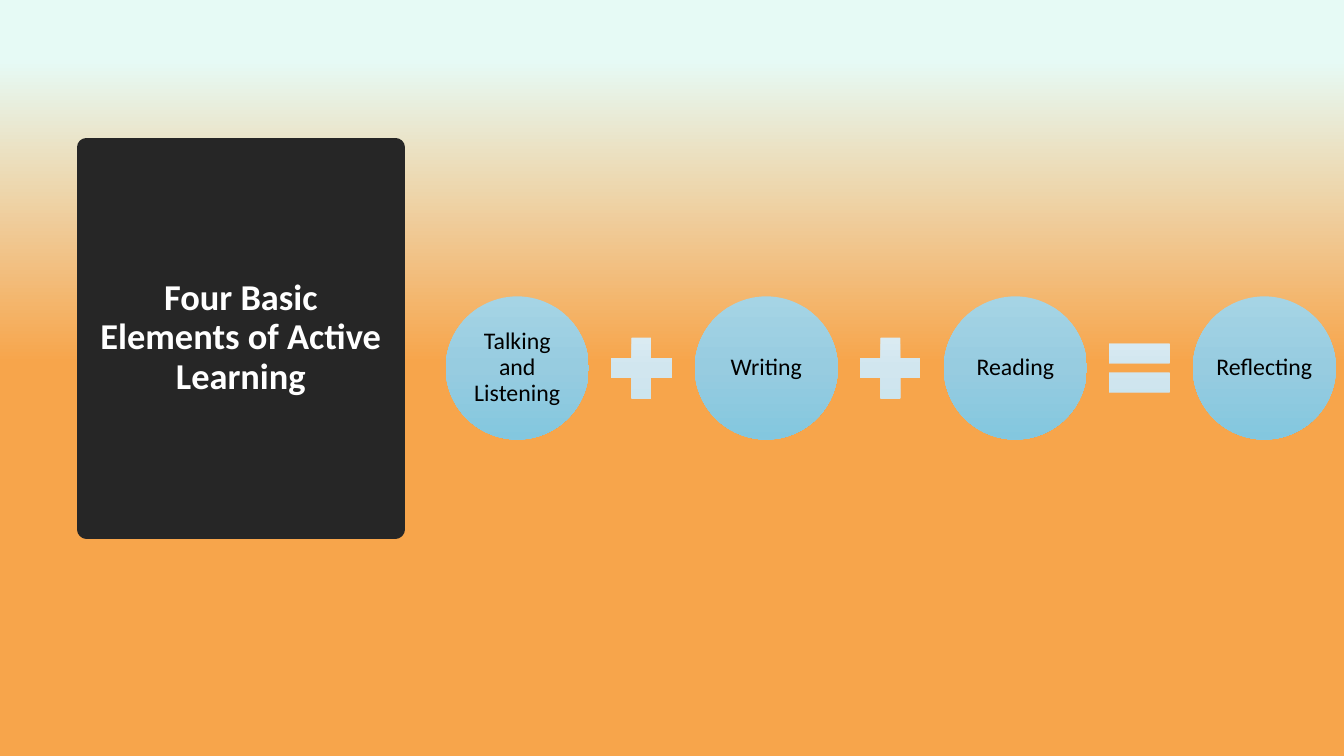
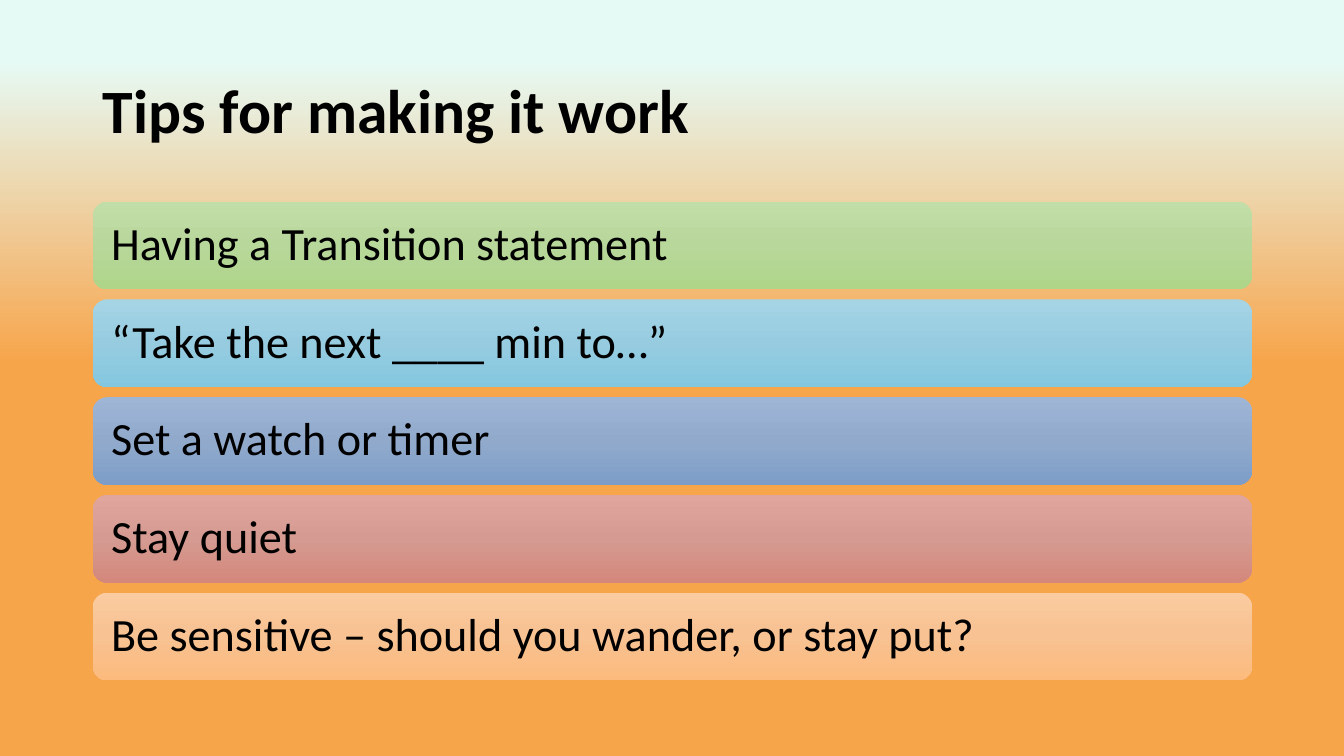
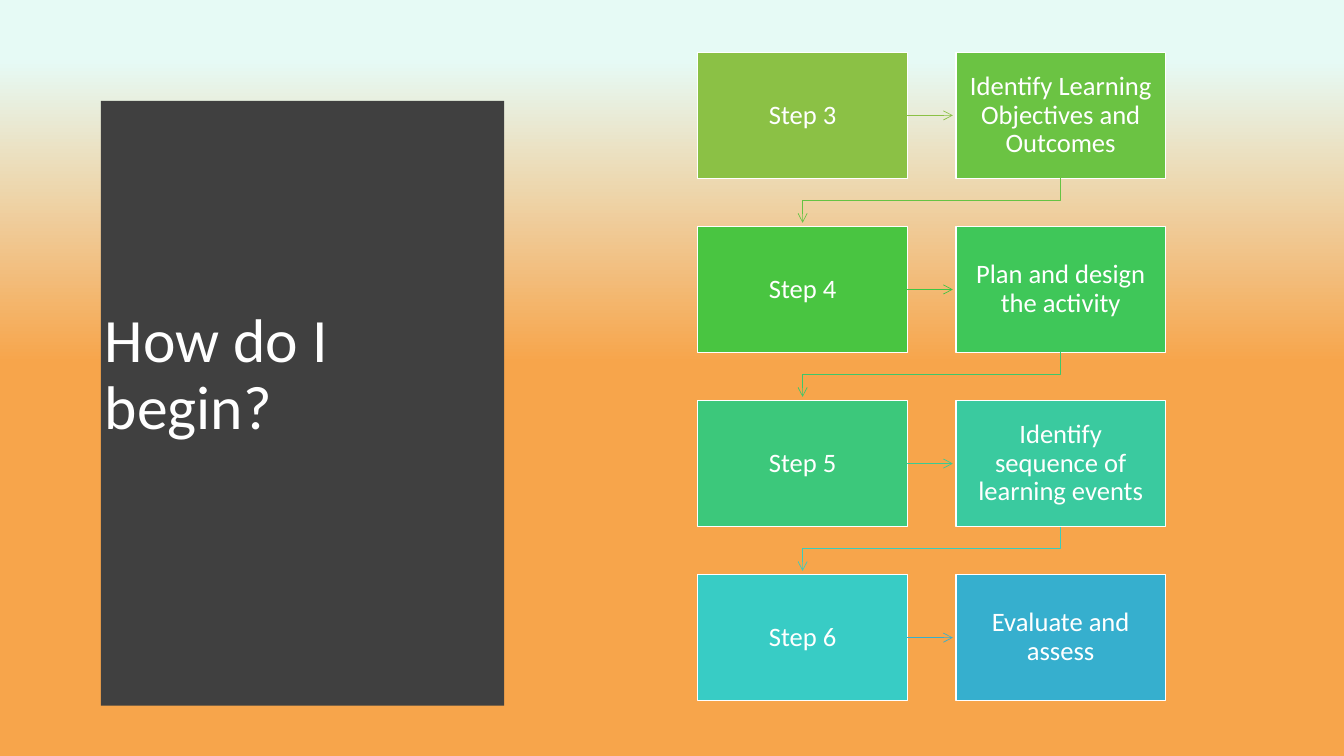
"""Build three slides on active learning."""
from lxml import etree
from pptx import Presentation
from pptx.dml.color import RGBColor
from pptx.enum import shapes, text
from pptx.oxml.ns import qn
from pptx.util import Inches, Pt

hue = RGBColor.from_string
BLACK, WHITE = hue("000000"), hue("FFFFFF")
COAL, SLATE = hue("262626"), hue("404040")
MINT, AMBER = hue("E6FAF5"), hue("F7A54B")
GREEN = [hue("C2DEA8"), hue("B8D79B"), hue("AED588")]
SKY = [hue("A5D4E5"), hue("97CCE0"), hue("83C7DF")]
BLUE = [hue("9EB5D6"), hue("91AACC"), hue("7D9DC8")]
ROSE = [hue("E0A69E"), hue("D59A91"), hue("D4887C")]
PEACH = [hue("FACBA0"), hue("F8C292"), hue("FCBA7D")]
PALE = [hue("DEEDF4"), hue("D1E6EF"), hue("CAE4EE")]
STEPS = [hue("8BC145"), hue("49C541"), hue("3CC87B"), hue("38CCC5")]
TASKS = [hue("6BC343"), hue("3FC759"), hue("3ACA9F"), hue("36AFCE")]
ACROSS = [hue("8BC145"), hue("40C543"), hue("3BCA93"), hue("36AFCE")]
DOWN = [hue("65C343"), hue("3EC76A"), hue("39CCBE")]
FONT = "Calibri"
KIND = shapes.MSO_SHAPE
LINK = shapes.MSO_CONNECTOR
ALIGN = text.PP_ALIGN


def shade(fill, root, tones, marks=(0, 50, 100)):
    """Fill from top to bottom with the tones at the marks."""
    fill.gradient()
    fill.gradient_angle = 270
    stops = root.find(".//" + qn("a:gsLst"))
    for old in list(stops):
        stops.remove(old)
    for tone, mark in zip(tones, marks):
        stop = etree.SubElement(stops, qn("a:gs"), pos=str(mark * 1000))
        etree.SubElement(stop, qn("a:srgbClr"), val=str(tone))


def box(slide, kind, area, tone, words="", size=17, ink=BLACK, inset=0.02,
        align=ALIGN.CENTER):
    """Add a filled shape with one paragraph of text."""
    shape = slide.shapes.add_shape(kind, *map(Inches, area))
    shape.shadow.inherit = False
    shape.line.fill.background()
    if isinstance(tone, list):
        shade(shape.fill, shape.element, tone)
    else:
        shape.fill.solid()
        shape.fill.fore_color.rgb = tone
    if words:
        frame = shape.text_frame
        frame.word_wrap = True
        frame.vertical_anchor = text.MSO_ANCHOR.MIDDLE
        frame.margin_left = frame.margin_right = Inches(inset)
        frame.margin_top = frame.margin_bottom = Inches(inset)
        para = frame.paragraphs[0]
        para.text = words
        para.alignment = align
        para.line_spacing = 0.9
        para.font.name, para.font.size = FONT, Pt(size)
        para.font.color.rgb = ink
    return shape


deck = Presentation()
deck.slide_width, deck.slide_height = Inches(13.33), Inches(7.5)
master = deck.slide_master
shade(master.background.fill, master.element, [MINT, AMBER, AMBER], (8, 48, 90))

heads = [
    ("Four Basic Elements of Active Learning", (0.86, 1.46, 3.06, 3.79),
     26, WHITE, True, ALIGN.CENTER),
    ("Tips for making it work", (0.92, 0.4, 11.5, 1.45),
     44, BLACK, True, ALIGN.LEFT),
    ("How do I begin?", (0.94, 1.11, 3.74, 5.24),
     44, WHITE, False, ALIGN.LEFT),
]
for words, area, size, ink, bold, align in heads:
    title = deck.slides.add_slide(deck.slide_layouts[5]).shapes.title
    title.left, title.top, title.width, title.height = map(Inches, area)
    title.text = words
    title.text_frame.auto_size = text.MSO_AUTO_SIZE.NONE
    title.text_frame.vertical_anchor = text.MSO_ANCHOR.MIDDLE
    para = title.text_frame.paragraphs[0]
    para.alignment = align
    para.line_spacing = 0.9
    para.font.name, para.font.size = FONT, Pt(size)
    para.font.bold = bold
    para.font.color.rgb = ink
basic, tips, begin = deck.slides

card = basic.shapes.title
card.fill.solid()
card.fill.fore_color.rgb = COAL
card.line.color.rgb = COAL
card.line.width = Pt(13.75)

parts = ["Talking and Listening", "Writing", "Reading", "Reflecting"]
signs = [KIND.MATH_PLUS, KIND.MATH_PLUS, KIND.MATH_EQUAL]
for i, words in enumerate(parts):
    left = 4.42 + 2.47 * i
    box(basic, KIND.OVAL, (left, 2.94, 1.42, 1.42), SKY, words)
    if i < len(signs):
        box(basic, signs[i], (left + 1.53, 3.24, 0.82, 0.82), PALE)

hints = [
    ("Having a Transition statement", GREEN),
    ("“Take the next ____ min to…”", SKY),
    ("Set a watch or timer", BLUE),
    ("Stay quiet", ROSE),
    ("Be sensitive – should you wander, or stay put?", PEACH),
]
for i, (words, tone) in enumerate(hints):
    box(tips, KIND.ROUNDED_RECTANGLE, (0.92, 2 + 0.97 * i, 11.5, 0.87), tone,
        words, 33, inset=0.14, align=ALIGN.LEFT)

top, foot, count = 0.52, 6.96, 40
mid, half = (top + foot) / 2, (foot - top) / 2
edge = []
for i in range(count + 1):
    turn = 2 * i / count - 1
    edge.append((5.32 - 0.24 * turn ** 2, mid + half * turn))
form = begin.shapes.build_freeform(0.53, top, scale=Inches(1))
form.add_line_segments(edge + [(0.53, foot)], close=True)
panel = form.convert_to_shape()
panel.shadow.inherit = False
panel.fill.solid()
panel.fill.fore_color.rgb = SLATE
panel.line.fill.background()
begin.shapes.title.element.addprevious(panel.element)

tasks = ["Identify Learning Objectives and Outcomes",
         "Plan and design the activity",
         "Identify sequence of learning events",
         "Evaluate and assess"]
wide, high, near, far, pitch = 2.08, 1.25, 6.92, 9.48, 1.727
links = []
for i, task in enumerate(tasks):
    y = top + pitch * i
    for left, tone, words in ((near, STEPS[i], f"Step {i + 3}"),
                              (far, TASKS[i], task)):
        cell = box(begin, KIND.RECTANGLE, (left, y, wide, high), tone,
                   words, 19, WHITE, 0.1)
        cell.line.color.rgb = WHITE
        cell.line.width = Pt(1)
    level = y + high / 2
    links.append((LINK.STRAIGHT, (near + wide, level, far - 0.03, level),
                  0, ACROSS[i]))
    if i < len(DOWN):
        x, drop, span = (near + far + wide) / 2, 0.44, far - near
        level = y + high + drop / 2
        ends = (x - drop / 2, level - span / 2, x + drop / 2, level + span / 2)
        links.append((LINK.ELBOW, ends, 90, DOWN[i]))

for kind, ends, turn, tone in links:
    link = begin.shapes.add_connector(kind, *map(Inches, ends))
    link.rotation = turn
    link.line.color.rgb = tone
    link.line.width = Pt(0.5)
    props = link.element.spPr
    etree.SubElement(props.find(qn("a:ln")), qn("a:tailEnd"), type="arrow")
    etree.SubElement(props, qn("a:effectLst"))

deck.save("out.pptx")
